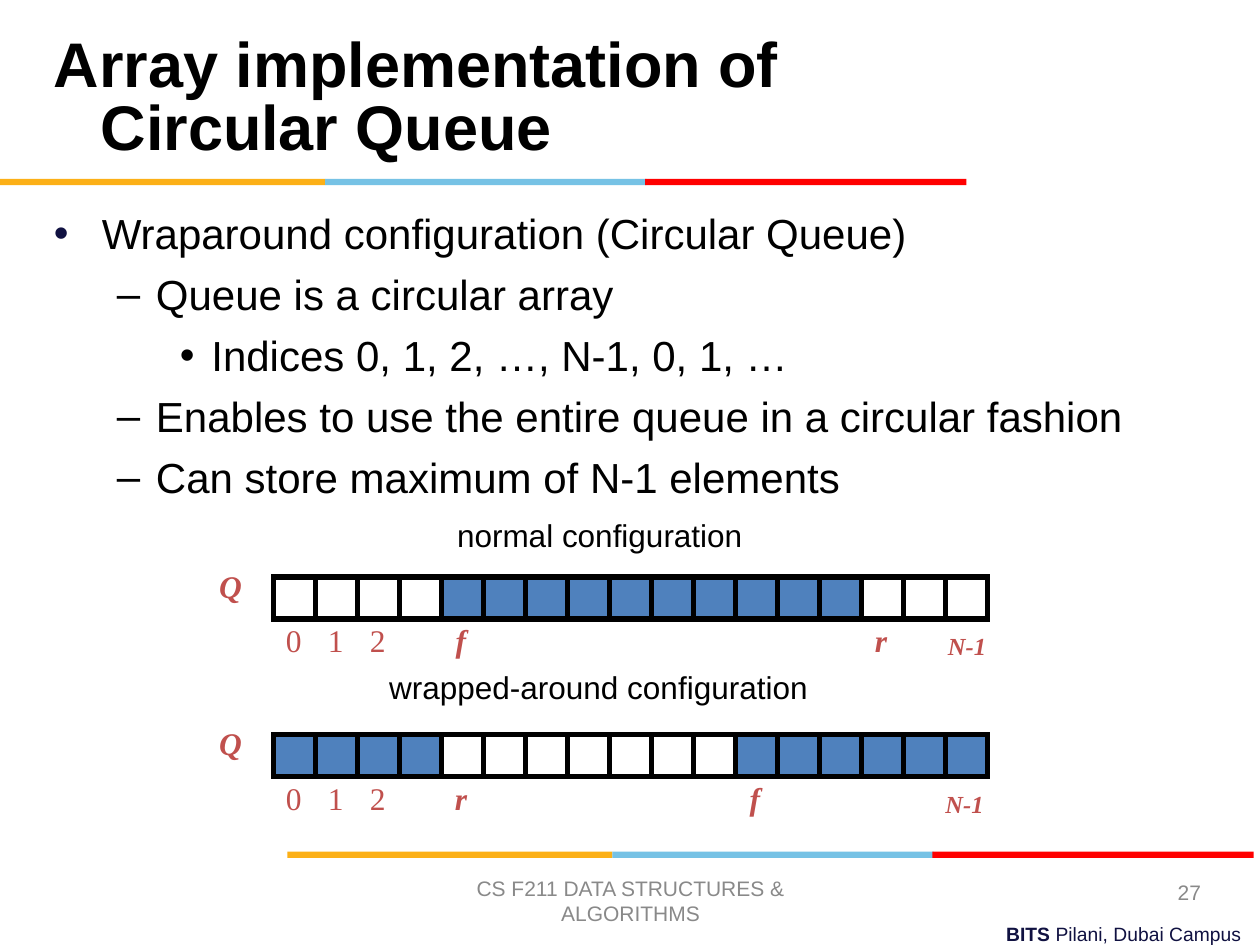
import pptx
import pptx.util
import pptx.dml.color
import pptx.enum.shapes
import pptx.enum.text
import pptx.oxml.ns
from lxml import etree

Inches = pptx.util.Inches
Pt = pptx.util.Pt
ALIGN = pptx.enum.text.PP_ALIGN
ANCHOR = pptx.enum.text.MSO_ANCHOR

COLORS = {
    "black": "000000", "white": "FFFFFF", "navy": "101141", "gray": "898989",
    "gold": "FCB017", "sky": "76C2E5", "red": "FF0000",
    "full": "4F81BD", "label": "C0504D",
}
CELL = 1 / 3
LEFT = 2.17
COUNT = 17
# Indent, hanging part, bullet and bullet colour of each level
LEVELS = [(0.38, 0.38, "•", "navy"), (0.81, 0.31, "–", "black"), (1.25, 0.25, "•", "black")]
POINTS = [
    (0, "Wraparound configuration (Circular Queue)"),
    (1, "Queue is a circular array"),
    (2, "Indices 0, 1, 2, …, N-1, 0, 1, …"),
    (1, "Enables to use the entire queue in a circular fashion"),
    (1, "Can store maximum of N-1 elements"),
]


def rgb(name):
    return pptx.dml.color.RGBColor.from_string(COLORS[name])


def indent(para, left, hang):
    props = para._p.get_or_add_pPr()
    props.set("marL", str(Inches(left)))
    props.set("indent", str(-Inches(hang)))
    return props


def bullet(para, level):
    left, hang, mark, color = LEVELS[level]
    para.level = level
    props = indent(para, left, hang)
    tint = etree.SubElement(props, pptx.oxml.ns.qn("a:buClr"))
    etree.SubElement(tint, pptx.oxml.ns.qn("a:srgbClr"), val=COLORS[color])
    etree.SubElement(props, pptx.oxml.ns.qn("a:buFont"), typeface="Arial")
    etree.SubElement(props, pptx.oxml.ns.qn("a:buChar"), char=mark)


def add_run(para, text, size=18, font="Arial", color="black", bold=False, italic=False):
    run = para.add_run()
    run.text = text
    run.font.size = Pt(size)
    run.font.name = font
    run.font.color.rgb = rgb(color)
    run.font.bold = bold
    run.font.italic = italic


def add_frame(shapes, box, wrap=True, inset=True, anchor=ANCHOR.TOP):
    frame = shapes.add_textbox(*map(Inches, box)).text_frame
    frame.word_wrap = wrap
    frame.vertical_anchor = anchor
    if not inset:
        frame.margin_left = frame.margin_right = 0
        frame.margin_top = frame.margin_bottom = 0
    return frame


def add_text(shapes, box, text, align=ALIGN.LEFT, wrap=True, inset=True,
             anchor=ANCHOR.TOP, **style):
    para = add_frame(shapes, box, wrap, inset, anchor).paragraphs[0]
    para.alignment = align
    add_run(para, text, **style)
    return para


def add_label(shapes, box, text, **style):
    """Add a centred red label in bold italics."""
    add_text(shapes, box, text, align=ALIGN.CENTER, inset=False,
             font="Times New Roman", color="label", bold=True, italic=True, **style)


def add_rect(shapes, box, fill, line=None):
    kind = pptx.enum.shapes.MSO_SHAPE.RECTANGLE
    rect = shapes.add_shape(kind, *map(Inches, box))
    rect.shadow.inherit = False
    rect.fill.solid()
    rect.fill.fore_color.rgb = rgb(fill)
    if line:
        rect.line.color.rgb = rgb(line)
        rect.line.width = Pt(3)
        edge = rect._element.spPr.find(pptx.oxml.ns.qn("a:ln"))
        etree.SubElement(edge, pptx.oxml.ns.qn("a:miter"), lim="800000")
    else:
        rect.line.fill.background()


def add_bar(slide, left, top):
    """Add a stripe in three colours."""
    shapes = slide.shapes.add_group_shape().shapes
    for start, width, color in ((0, 2.58, "gold"), (2.58, 2.55, "sky"), (5.12, 2.55, "red")):
        add_rect(shapes, (left + start, top, width, 0.05), color)


def add_queue(slide, top, front, rear, last):
    """Add an array whose cells from front up to rear are full."""
    shapes = slide.shapes.add_group_shape().shapes
    used = (rear - front) % COUNT
    add_label(shapes, (1.67, top - 0.08, 0.32, 0.3), "Q")
    for index in range(3):
        add_text(shapes, (LEFT + 0.1 + index * CELL, top + 0.35, 0.13, 0.3), str(index),
                 wrap=False, inset=False, font="Times New Roman", color="label")
    for index, name in ((front, "f"), (rear, "r")):
        add_label(shapes, (LEFT + index * CELL, top + 0.35, 0.31, 0.3), name)
    for index in range(COUNT):
        fill = "full" if (index - front) % COUNT < used else "white"
        add_rect(shapes, (LEFT + index * CELL, top, CELL, CELL), fill, "black")
    add_label(slide.shapes, (last, top + 0.43, 0.31, 0.23), "N-1", size=14)


def add_points(slide):
    frame = add_frame(slide.shapes, (0.33, 1.6, 9, 4.95))
    for number, (level, text) in enumerate(POINTS):
        para = frame.add_paragraph() if number else frame.paragraphs[0]
        if number:
            para.space_before = Pt(6)
        bullet(para, level)
        add_run(para, text, size=24)


def main():
    deck = pptx.Presentation()
    deck.slide_width, deck.slide_height = Inches(10), Inches(7.5)
    slide = deck.slides.add_slide(deck.slide_layouts[6])
    shapes = slide.shapes

    campus = add_text(shapes, (3.53, 7.27, 6.42, 0.29), "BITS ", align=ALIGN.RIGHT,
                      size=11, color="navy", bold=True)
    add_run(campus, "Pilani, Dubai Campus", size=11, color="navy")
    add_bar(slide, 2.28, 6.76)
    add_bar(slide, 0, 1.42)

    add_points(slide)
    title = add_text(shapes, (0.33, 0.17, 6.92, 1.25), "Array implementation of Circular Queue",
                     anchor=ANCHOR.MIDDLE, size=36, bold=True)
    indent(title, 0.37, 0.37)
    title.line_spacing = Pt(36)

    add_text(shapes, (3.42, 6.95, 3.17, 0.4), "CS F211 DATA STRUCTURES & ALGORITHMS",
             align=ALIGN.CENTER, anchor=ANCHOR.MIDDLE, size=12, color="gray")
    add_text(shapes, (7.3, 6.88, 2.33, 0.4), "27", align=ALIGN.RIGHT,
             anchor=ANCHOR.MIDDLE, size=12, color="gray")

    add_queue(slide, 4.58, front=4, rear=14, last=7.52)
    add_queue(slide, 5.83, front=11, rear=4, last=7.5)
    add_text(shapes, (3.46, 4.05, 2.6, 0.4), "normal configuration",
             align=ALIGN.CENTER, wrap=False)
    add_text(shapes, (2.95, 5.25, 3.6, 0.4), "wrapped-around configuration",
             align=ALIGN.CENTER, wrap=False)
    deck.save("out.pptx")


if __name__ == "__main__":
    main()
